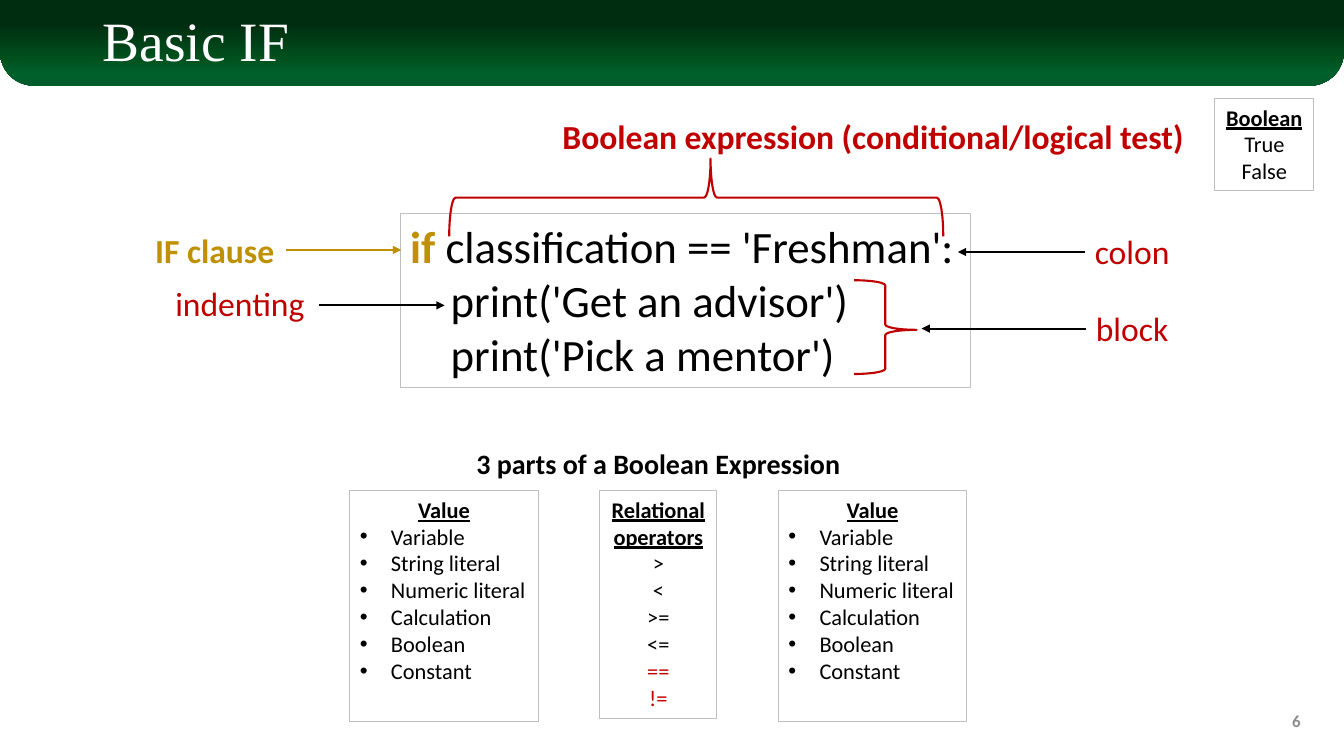
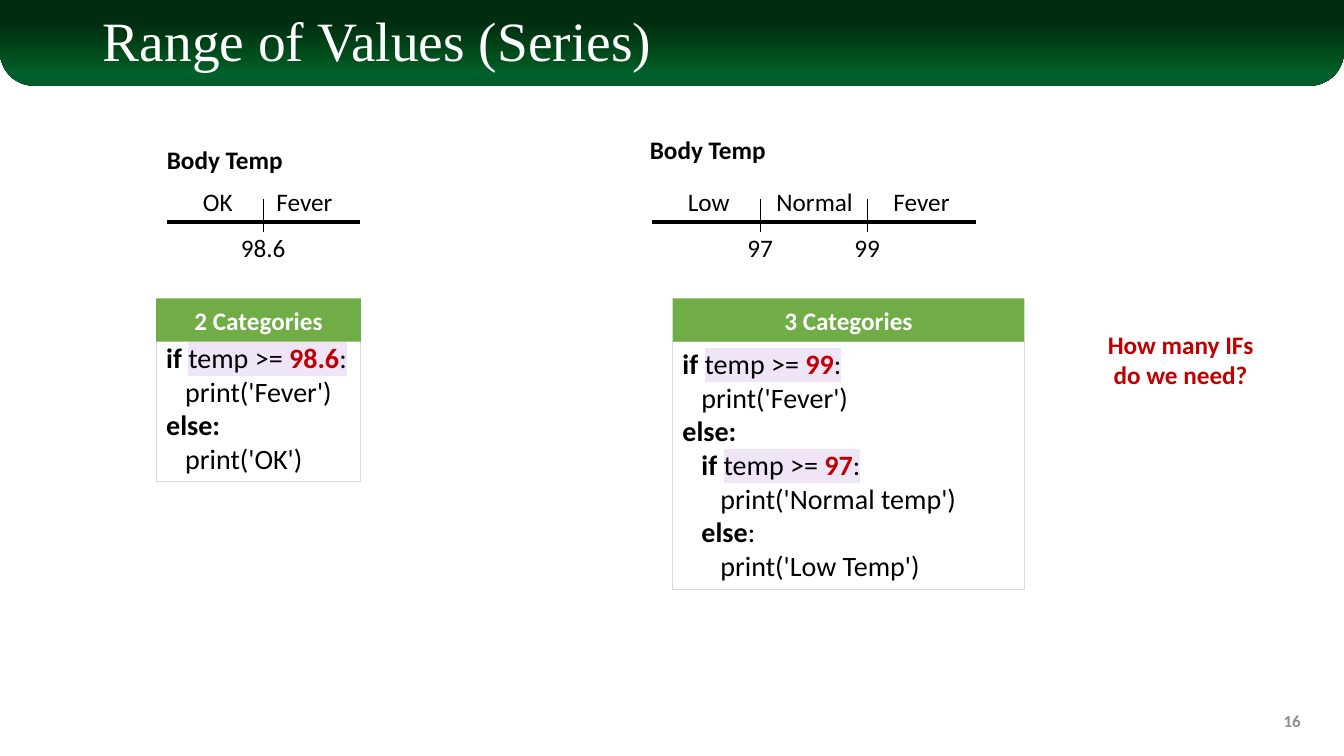
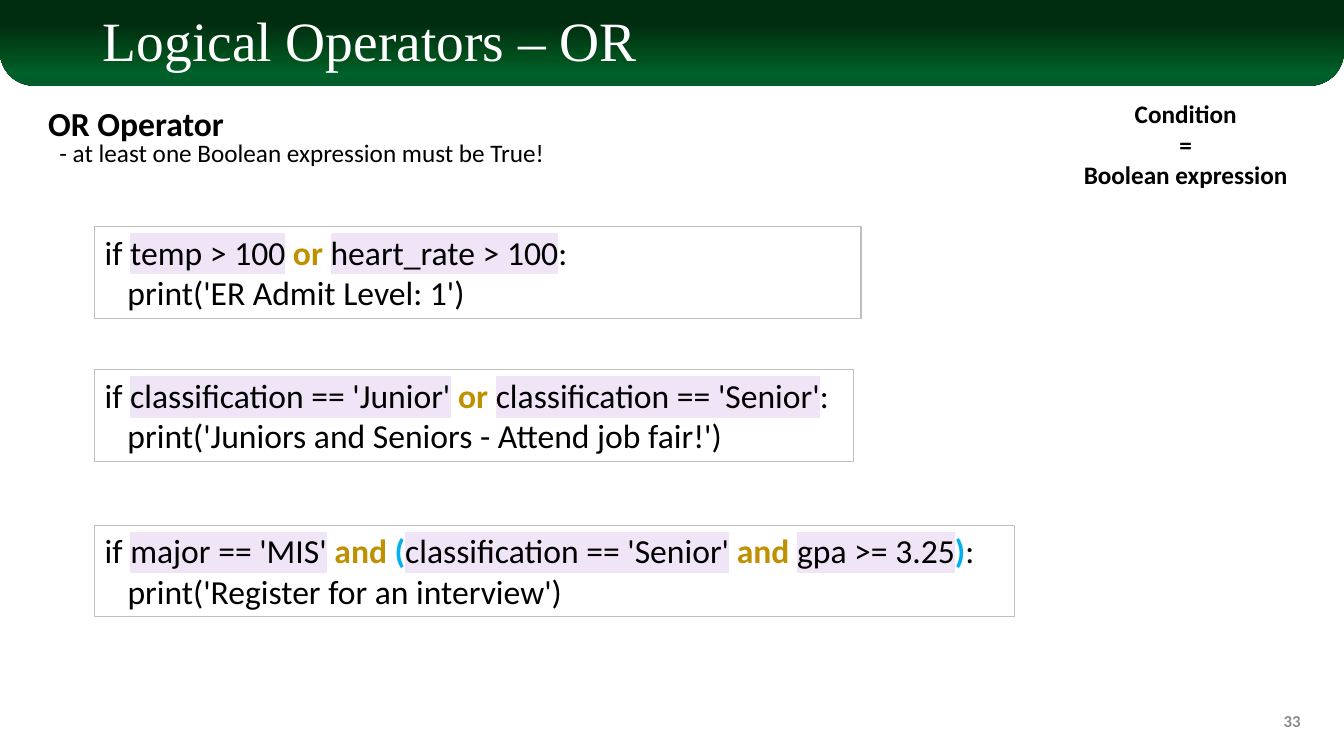
from typing import NamedTuple

from lxml.etree import SubElement
from pptx import Presentation
from pptx.dml.color import RGBColor
from pptx.enum.shapes import MSO_CONNECTOR, MSO_SHAPE as SHAPE
from pptx.enum.text import MSO_ANCHOR as ANCHOR, MSO_AUTO_SIZE as AUTO_SIZE, PP_ALIGN as ALIGN
from pptx.oxml import parse_xml
from pptx.oxml.ns import nsdecls, qn
from pptx.util import Inches, Pt

BLACK = RGBColor(0x00, 0x00, 0x00)
WHITE = RGBColor(0xFF, 0xFF, 0xFF)
RED = RGBColor(0xC0, 0x00, 0x00)
GOLD = RGBColor(0xBF, 0x90, 0x00)
CYAN = RGBColor(0x00, 0xB0, 0xF0)
GREEN = RGBColor(0x70, 0xAD, 0x47)
LILAC = RGBColor(0xEF, 0xE5, 0xF7)
NUMBER_GRAY = RGBColor(0x8C, 0x8C, 0x8C)
BORDER = RGBColor(0xBF, 0xBF, 0xBF)
LIGHT_BORDER = RGBColor(0xD9, 0xD9, 0xD9)
BAND_STOPS = [
    (0, RGBColor(0x00, 0x2D, 0x10)),
    (28, RGBColor(0x00, 0x2D, 0x10)),
    (68, RGBColor(0x00, 0x50, 0x1D)),
    (85, RGBColor(0x00, 0x60, 0x2B)),
    (100, RGBColor(0x00, 0x5C, 0x2B)),
]


class Look(NamedTuple):
    """Character formatting of a run."""

    color: RGBColor = BLACK
    bold: bool = False
    underline: bool = False
    highlight: bool = False


PLAIN = Look()
BOLD = Look(bold=True)
HEADING = Look(bold=True, underline=True)
RED_PLAIN = Look(RED)
RED_BOLD = Look(RED, bold=True)
KEYWORD = Look(GOLD, bold=True)
PARENTHESIS = Look(CYAN, bold=True)
TEST = Look(highlight=True)
LIMIT = Look(RED, bold=True, highlight=True)
WHITE_BOLD = Look(WHITE, bold=True)


class Deck:
    """Holds the shared style and the current slide."""

    title_font = "Times New Roman"
    body_font = "Calibri"

    def __init__(self):
        """Start an empty widescreen presentation."""
        self.presentation = Presentation()
        self.presentation.slide_width = Inches(13.33)
        self.presentation.slide_height = Inches(7.5)
        self.layout = self.presentation.slide_layouts[5]
        self.slide = None

    def start_slide(self, title, number):
        """Add a slide with its title and number."""
        first = self.slide is None
        self.slide = self.presentation.slides.add_slide(self.layout)
        if first:
            self.move_band_to_layout()
        placeholder = self.slide.shapes.title
        placeholder.left, placeholder.top = Inches(0.92), Inches(0.13)
        placeholder.width, placeholder.height = Inches(11.5), Inches(0.61)
        frame = placeholder.text_frame
        frame.text = title
        frame.auto_size = AUTO_SIZE.NONE
        frame.vertical_anchor = ANCHOR.MIDDLE
        paragraph = frame.paragraphs[0]
        paragraph.alignment = ALIGN.LEFT
        paragraph.line_spacing = 0.9
        self.format_run(paragraph.runs[0], 39.6, Look(WHITE), self.title_font)
        self.box([str(number)], (10, 6.95, 3, 0.4), 12, Look(NUMBER_GRAY, bold=True),
                 ALIGN.RIGHT, anchor=ANCHOR.MIDDLE)

    def move_band_to_layout(self):
        """Draw the green title band on the shared layout."""
        band = self.preset(SHAPE.ROUND_2_SAME_RECTANGLE, (0, 0, 13.33, 0.85), (0, 0.4))
        band.line.fill.background()
        stops = "".join(
            f'<a:gs pos="{position * 1000}"><a:srgbClr val="{color}"/></a:gs>'
            for position, color in BAND_STOPS
        )
        gradient = parse_xml(
            f'<a:gradFill {nsdecls("a")} rotWithShape="1"><a:gsLst>{stops}</a:gsLst>'
            '<a:lin ang="5400000" scaled="0"/></a:gradFill>'
        )
        properties = band.element.spPr
        properties.replace(properties.find(qn("a:noFill")), gradient)
        self.layout.shapes.element.append(band.element)

    def preset(self, kind, at, adjustments=()):
        """Add an unfilled preset shape without a shadow."""
        shape = self.slide.shapes.add_shape(kind, *map(Inches, at))
        shape.shadow.inherit = False
        shape.fill.background()
        for index, value in enumerate(adjustments):
            shape.adjustments[index] = value
        return shape

    def brace(self, at, rotation):
        """Add a rotated red curly brace."""
        shape = self.preset(SHAPE.LEFT_BRACE, at, (0.083, 0.471))
        shape.rotation = rotation
        shape.line.color.rgb = RED
        shape.line.width = Pt(1.5)

    def line(self, start, end, width=1.5, color=BLACK, arrow=False):
        """Add a straight line, with an arrowhead at its end if wanted."""
        connector = self.slide.shapes.add_connector(
            MSO_CONNECTOR.STRAIGHT, *map(Inches, (*start, *end)))
        connector.line.color.rgb = color
        connector.line.width = Pt(width)
        properties = connector.element.spPr
        if arrow:
            SubElement(properties.find(qn("a:ln")), qn("a:tailEnd"), type="triangle")
        SubElement(properties, qn("a:effectLst"))

    def format_run(self, run, size, look, font=body_font):
        """Apply size, font and look to a run."""
        run.font.size = Pt(size)
        run.font.name = font
        run.font.color.rgb = look.color
        run.font.bold = look.bold
        run.font.underline = look.underline
        if look.highlight:
            highlight = parse_xml(
                f'<a:highlight {nsdecls("a")}><a:srgbClr val="{LILAC}"/></a:highlight>')
            properties = run._r.get_or_add_rPr()
            properties.find(qn("a:solidFill")).addnext(highlight)

    def fill_text(self, frame, lines, size, look, align):
        """Fill a frame with lines, each a string or a list of text and look pairs."""
        for index, line in enumerate(lines):
            paragraph = frame.add_paragraph() if index else frame.paragraphs[0]
            paragraph.alignment = align
            if isinstance(line, str):
                line = [(line, look)]
            for text, run_look in line:
                run = paragraph.add_run()
                run.text = text
                self.format_run(run, size, run_look)

    def box(self, lines, at, size, look=PLAIN, align=ALIGN.LEFT, border=None, fill=None,
            anchor=ANCHOR.TOP):
        """Add a wrapped text rectangle with optional border and fill."""
        shape = self.preset(SHAPE.RECTANGLE, at)
        if fill:
            shape.fill.solid()
            shape.fill.fore_color.rgb = fill
        if border:
            shape.line.color.rgb = border
            shape.line.width = Pt(0.75)
        else:
            shape.line.fill.background()
        frame = shape.text_frame
        frame.word_wrap = True
        frame.vertical_anchor = anchor
        self.fill_text(frame, lines, size, look, align)
        return frame

    def label(self, lines, at, size, look=PLAIN, align=ALIGN.LEFT):
        """Add a text box that fits its unwrapped text."""
        frame = self.slide.shapes.add_textbox(*map(Inches, at)).text_frame
        frame.word_wrap = False
        frame.auto_size = AUTO_SIZE.SHAPE_TO_FIT_TEXT
        self.fill_text(frame, lines, size, look, align)

    def value_box(self, left):
        """Add the bulleted list of things a value may be."""
        kinds = ["Variable", "String literal", "Numeric literal", "Calculation",
                 "Boolean", "Constant"]
        frame = self.box([[("Value", HEADING)], *kinds], (left, 4.87, 1.87, 2.29), 16,
                         border=BORDER)
        heading, *items = frame.paragraphs
        heading.alignment = ALIGN.CENTER
        for paragraph in items:
            properties = paragraph._p.get_or_add_pPr()
            properties.set("marL", str(Inches(0.31)))
            properties.set("indent", str(-Inches(0.31)))
            SubElement(properties, qn("a:buFont"), typeface="Arial")
            SubElement(properties, qn("a:buChar"), char="•")

    def number_line(self, start, end, title_at, ranges, limits):
        """Add a scale with named ranges and the limits between them."""
        self.label(["Body Temp"], (*title_at, 1.36, 0.4), 18, BOLD, ALIGN.CENTER)
        self.line((start, 2.2), (end, 2.2), 3)
        for text, center in ranges:
            self.label([text], (center - 0.5, 1.8, 1, 0.4), 18, align=ALIGN.CENTER)
        for text, center in limits:
            self.line((center, 1.97), (center, 2.3), 0.5)
            self.label([text], (center - 0.35, 2.26, 0.7, 0.4), 18, align=ALIGN.CENTER)

    def program(self, heading, lines, left, top, width, height):
        """Add a code box under a green heading."""
        self.box(lines, (left, top, width, height), 20, border=LIGHT_BORDER)
        self.box([heading], (left, 2.96, width, 0.43), 18, WHITE_BOLD, ALIGN.CENTER,
                 fill=GREEN, anchor=ANCHOR.MIDDLE)


def temperature_test(keyword, limit):
    """Return the runs of an if line that tests the temperature."""
    return [(keyword, BOLD), ("temp >= ", TEST), (limit, LIMIT), (":", TEST)]


def build_basic_if(deck):
    """Build the slide on the parts of an if statement."""
    deck.start_slide("Basic IF", 6)
    code = [[("if", KEYWORD), (" classification == 'Freshman':", PLAIN)],
            "    print('Get an advisor')",
            "    print('Pick a mentor')"]
    deck.box(code, (3.97, 2.12, 5.66, 1.72), 32, border=BORDER)
    labels = [
        ("IF clause", 1.44, 2.23, 1.4, KEYWORD),
        ("Boolean expression (conditional/logical test)", 5.48, 1.1, 6.59, RED_BOLD),
        ("colon", 10.76, 2.24, 0.96, RED_PLAIN),
        ("indenting", 1.64, 2.76, 1.53, RED_PLAIN),
        ("block", 10.77, 3.01, 0.95, RED_PLAIN),
    ]
    for text, left, top, width, look in labels:
        deck.label([text], (left, top, width, 0.5), 24, look)
    arrows = [(2.84, 3.98, 2.48, GOLD), (10.76, 9.5, 2.5, BLACK),
              (3.16, 4.41, 3.03, BLACK), (10.77, 9.14, 3.26, BLACK)]
    for start, end, top, color in arrows:
        deck.line((start, top), (end, top), color=color, arrow=True)
    deck.brace((6.52, -0.49, 0.77, 4.9), 90)
    deck.brace((8.47, 2.78, 0.62, 0.93), 180)
    deck.box([[("Boolean", HEADING)], "True", "False"], (12.05, 0.98, 0.98, 0.91), 16,
             align=ALIGN.CENTER, border=BORDER)
    deck.label(["3 parts of a Boolean Expression"], (4.54, 4.38, 3.98, 0.44), 20, BOLD,
               ALIGN.CENTER)
    operators = [[("Relational", HEADING)], [("operators", HEADING)], ">", "<", ">=", "<=",
                 [("==", RED_PLAIN)], [("!=", RED_PLAIN)]]
    deck.box(operators, (5.95, 4.87, 1.16, 2.26), 16, align=ALIGN.CENTER, border=BORDER)
    for left in (3.47, 7.72):
        deck.value_box(left)


def build_range_of_values(deck):
    """Build the slide that compares two and three categories."""
    deck.start_slide("Range of Values (Series)", 16)
    deck.number_line(1.66, 3.57, (1.55, 1.38), [("OK", 2.16), ("Fever", 3.02)],
                     [("98.6", 2.61)])
    deck.number_line(6.47, 9.68, (6.34, 1.28),
                     [("Low", 7.03), ("Normal", 8.08), ("Fever", 9.14)],
                     [("97", 7.54), ("99", 8.6)])
    two_categories = [temperature_test("if ", "98.6"),
                      "   print('Fever')",
                      [("else:", BOLD)],
                      "   print('OK')"]
    deck.program("2 Categories", two_categories, 1.55, 3.33, 2.03, 1.45)
    three_categories = [temperature_test("if ", "99"),
                        "   print('Fever')",
                        [("else:", BOLD)],
                        temperature_test("   if ", "97"),
                        "      print('Normal temp')",
                        [("   else", BOLD), (":", PLAIN)],
                        "      print('Low Temp')"]
    deck.program("3 Categories", three_categories, 6.67, 3.39, 3.49, 2.46)
    deck.label(["How many IFs", "do we need?"], (10.88, 3.22, 1.66, 0.71), 18, RED_BOLD,
               ALIGN.CENTER)


def build_logical_or(deck):
    """Build the slide on the or operator."""
    deck.start_slide("Logical Operators – OR", 33)
    deck.label(["Condition", "=", "Boolean expression"], (10.64, 0.93, 2.24, 1.01), 18, BOLD,
               ALIGN.CENTER)
    deck.label(["OR Operator"], (0.38, 0.97, 1.96, 0.5), 24, BOLD)
    deck.label(["- at least one Boolean expression must be True!"], (0.49, 1.31, 5.17, 0.4), 18)
    examples = [
        (2.25, 7.6, [("temp > 100", TEST), (" ", PLAIN), ("or ", KEYWORD),
                     ("heart_rate > 100", TEST)],
         "ER Admit Level: 1"),
        (3.67, 7.53, [("classification == 'Junior'", TEST), (" ", PLAIN), ("or ", KEYWORD),
                      ("classification == 'Senior'", TEST)],
         "Juniors and Seniors - Attend job fair!"),
        (5.21, 9.12, [("major == 'MIS'", TEST), (" ", PLAIN), ("and ", KEYWORD),
                      ("(", PARENTHESIS), ("classification == 'Senior'", TEST), (" ", PLAIN),
                      ("and ", KEYWORD), ("gpa >= 3.25", TEST), (")", PARENTHESIS)],
         "Register for an interview"),
    ]
    for top, width, condition, message in examples:
        code = [[("if ", PLAIN), *condition, (":", PLAIN)], f"   print('{message}')"]
        deck.box(code, (0.94, top, width, 0.91), 24, border=BORDER)


def main():
    """Build and save the presentation."""
    deck = Deck()
    build_basic_if(deck)
    build_range_of_values(deck)
    build_logical_or(deck)
    deck.presentation.save("out.pptx")


if __name__ == "__main__":
    main()
